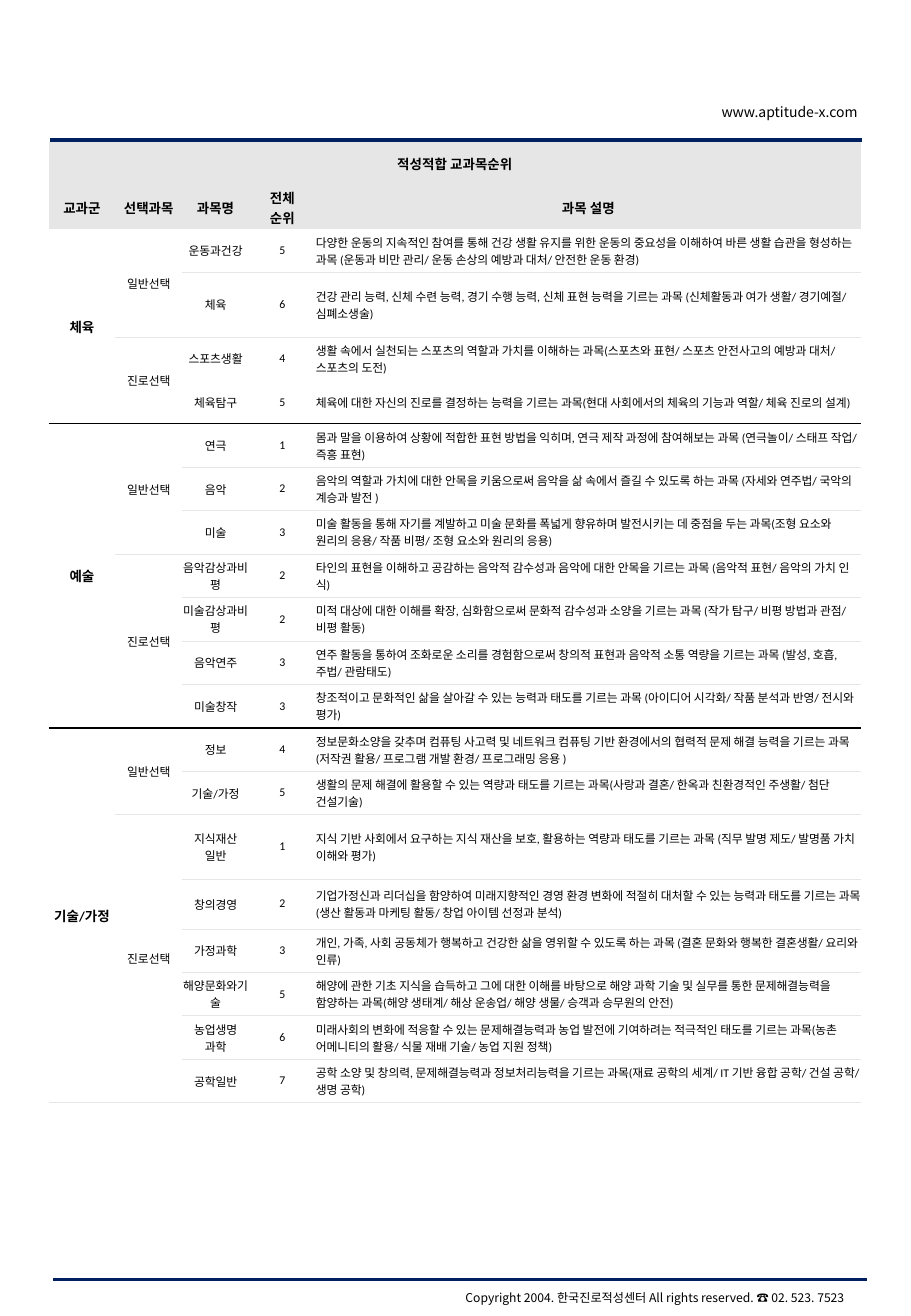
"""Build a one-page table ranking school subjects by aptitude."""
from dataclasses import dataclass
from typing import Optional

from lxml.etree import SubElement
from pptx import Presentation
from pptx.dml.color import RGBColor
from pptx.enum.shapes import MSO_CONNECTOR
from pptx.enum.text import MSO_ANCHOR, MSO_AUTO_SIZE, PP_ALIGN
from pptx.oxml.ns import qn
from pptx.util import Inches, Pt

COLORS = {"text": "000000", "grey": "E7E6E6", "navy": "002060"}
BORDERS = {"grey": 0.5, "text": 1}
TABLE_HEIGHT, TALL, MEDIUM = 7.91, 0.53, 0.41
COL_WIDTHS = [0.55] * 4 + [4.49]
TITLE = "적성적합 교과목순위"
HEADINGS = ["교과군", "선택과목", "과목명", "전체\v순위", "과목 설명"]


@dataclass
class Subject:
    name: str
    rank: int
    description: str
    height: Optional[float] = None
    ruled: bool = True


@dataclass
class Track:
    name: str
    subjects: list[Subject]


@dataclass
class Group:
    name: str
    tracks: list[Track]


@dataclass
class Label:
    text: str
    left: float
    top: float
    width: float
    height: float
    size: float
    align: PP_ALIGN


@dataclass
class Rule:
    left: float
    right: float
    y: float


GROUPS = [
    Group("체육", [
        Track("일반선택", [
            Subject("운동과건강", 5, "다양한 운동의 지속적인 참여를 통해 건강 생활 유지를 위한 운동의 중요성을 이해하여 바른 생활 습관을 형성하는 과목 (운동과 비만 관리/ 운동 손상의 예방과 대처/ 안전한 운동 환경)"),
            Subject("체육", 6, "건강 관리 능력, 신체 수련 능력, 경기 수행 능력, 신체 표현 능력을 기르는 과목 (신체활동과 여가 생활/ 경기예절/ 심폐소생술)", TALL),
        ]),
        Track("진로선택", [
            Subject("스포츠생활", 4, "생활 속에서 실천되는 스포츠의 역할과 가치를 이해하는 과목(스포츠와 표현/ 스포츠 안전사고의 예방과 대처/ 스포츠의 도전)", ruled=False),
            Subject("체육탐구", 5, "체육에 대한 자신의 진로를 결정하는 능력을 기르는 과목(현대 사회에서의 체육의 기능과 역할/ 체육 진로의 설계)"),
        ]),
    ]),
    Group("예술", [
        Track("일반선택", [
            Subject("연극", 1, "몸과 말을 이용하여 상황에 적합한 표현 방법을 익히며, 연극 제작 과정에 참여해보는 과목 (연극놀이/ 스태프 작업/ 즉흥 표현)"),
            Subject("음악", 2, "음악의 역할과 가치에 대한 안목을 키움으로써 음악을 삶 속에서 즐길 수 있도록 하는 과목 (자세와 연주법/ 국악의 계승과 발전 )"),
            Subject("미술", 3, "미술 활동을 통해 자기를 계발하고 미술 문화를 폭넓게 향유하며 발전시키는 데 중점을 두는 과목(조형 요소와 원리의 응용/ 작품 비평/ 조형 요소와 원리의 응용)"),
        ]),
        Track("진로선택", [
            Subject("음악감상과비평", 2, "타인의 표현을 이해하고 공감하는 음악적 감수성과 음악에 대한 안목을 기르는 과목 (음악적 표현/ 음악의 가치 인식)"),
            Subject("미술감상과비평", 2, "미적 대상에 대한 이해를 확장, 심화함으로써 문화적 감수성과 소양을 기르는 과목 (작가 탐구/ 비평 방법과 관점/ 비평 활동)"),
            Subject("음악연주", 3, "연주 활동을 통하여 조화로운 소리를 경험함으로써 창의적 표현과 음악적 소통 역량을 기르는 과목 (발성, 호흡, 주법/ 관람태도)"),
            Subject("미술창작", 3, "창조적이고 문화적인 삶을 살아갈 수 있는 능력과 태도를 기르는 과목 (아이디어 시각화/ 작품 분석과 반영/ 전시와 평가)"),
        ]),
    ]),
    Group("기술/가정", [
        Track("일반선택", [
            Subject("정보", 4, "정보문화소양을 갖추며 컴퓨팅 사고력 및 네트워크 컴퓨팅 기반 환경에서의 협력적 문제 해결 능력을 기르는 과목(저작권 활용/ 프로그램 개발 환경/ 프로그래밍 응용 )"),
            Subject("기술/가정", 5, "생활의 문제 해결에 활용할 수 있는 역량과 태도를 기르는 과목(사랑과 결혼/ 한옥과 친환경적인 주생활/ 첨단 건설기술)"),
        ]),
        Track("진로선택", [
            Subject("지식재산\n일반", 1, "지식 기반 사회에서 요구하는 지식 재산을 보호, 활용하는 역량과 태도를 기르는 과목 (직무 발명 제도/ 발명품 가치 이해와 평가)", TALL),
            Subject("창의경영", 2, "기업가정신과 리더십을 함양하여 미래지향적인 경영 환경 변화에 적절히 대처할 수 있는 능력과 태도를 기르는 과목(생산 활동과 마케팅 활동/ 창업 아이템 선정과 분석)", MEDIUM),
            Subject("가정과학", 3, "개인, 가족, 사회 공동체가 행복하고 건강한 삶을 영위할 수 있도록 하는 과목 (결혼 문화와 행복한 결혼생활/ 요리와 인류)"),
            Subject("해양문화와기술", 5, "해양에 관한 기초 지식을 습득하고 그에 대한 이해를 바탕으로 해양 과학 기술 및 실무를 통한 문제해결능력을 함양하는 과목(해양 생태계/ 해상 운송업/ 해양 생물/ 승객과 승무원의 안전)"),
            Subject("농업생명\n과학", 6, "미래사회의 변화에 적응할 수 있는 문제해결능력과 농업 발전에 기여하려는 적극적인 태도를 기르는 과목(농촌 어메니티의 활용/ 식물 재배 기술/ 농업 지원 정책)"),
            Subject("공학일반", 7, "공학 소양 및 창의력, 문제해결능력과 정보처리능력을 기르는 과목(재료 공학의 세계/ IT 기반 융합 공학/ 건설 공학/ 생명 공학)"),
        ]),
    ]),
]
LABELS = [
    Label("www.aptitude-x.com", 5.73, 0.8, 1.54, 0.25, 8.3, PP_ALIGN.CENTER),
    Label("Copyright 2004. 한국진로적성센터 All rights reserved. ☎ 02. 523. 7523",
          2.9, 10.57, 4.15, 0.23, 7.2, PP_ALIGN.RIGHT),
]
RULES = [Rule(0.41, 7.1, 1.15), Rule(0.44, 7.14, 10.53)]


def set_text(tf, text: str, size: float, font: str, align: PP_ALIGN, bold: bool = False) -> None:
    tf.text = text
    for p in tf.paragraphs:
        p.alignment = align
        p.font.size, p.font.name, p.font.bold = Pt(size), font, bold
        p.font.color.rgb = RGBColor.from_string(COLORS["text"])


def style_cell(cell, fill: Optional[str] = None, top: Optional[str] = None,
               bottom: Optional[str] = None) -> None:
    cell.margin_left = cell.margin_right = cell.margin_top = cell.margin_bottom = 0
    cell.vertical_anchor = MSO_ANCHOR.MIDDLE
    tc_pr = cell._tc.get_or_add_tcPr()
    for side, color in zip("LRTB", (None, None, top, bottom)):
        ln = SubElement(tc_pr, qn(f"a:ln{side}"))
        if color:
            ln.set("w", str(Pt(BORDERS[color])))
            SubElement(SubElement(ln, qn("a:solidFill")), qn("a:srgbClr"), val=COLORS[color])
        else:
            SubElement(ln, qn("a:noFill"))
    if fill:
        cell.fill.solid()
        cell.fill.fore_color.rgb = RGBColor.from_string(COLORS[fill])
    else:
        cell.fill.background()


def put_cell(table, row: int, col: int, text: str, top: Optional[str], bottom: Optional[str],
             span: int = 1, size: float = 7, bold: bool = False) -> None:
    for i in range(span):
        style_cell(table.cell(row + i, col), top=top if i == 0 else None,
                   bottom=bottom if i in (0, span - 1) else None)
    cell = table.cell(row, col)
    if span > 1:
        cell.merge(table.cell(row + span - 1, col))
    align = PP_ALIGN.LEFT if col == 4 else PP_ALIGN.CENTER
    set_text(cell.text_frame, text, size, "Calibri", align, bold)


def add_header(table) -> None:
    for col, heading in enumerate(HEADINGS):
        for row in (0, 1):
            style_cell(table.cell(row, col), "grey")
        set_text(table.cell(1, col).text_frame, heading, 8, "Calibri", PP_ALIGN.CENTER, True)
    table.cell(0, 0).merge(table.cell(0, 4))
    set_text(table.cell(0, 0).text_frame, TITLE, 8, "Lato", PP_ALIGN.CENTER, True)


def add_subject_table(slide) -> None:
    subjects = [s for g in GROUPS for t in g.tracks for s in t.subjects]
    heights = [None, None] + [s.height for s in subjects]
    regular = (TABLE_HEIGHT - sum(h for h in heights if h)) / heights.count(None)
    table = slide.shapes.add_table(len(heights), 5, Inches(0.4), Inches(1.17),
                                   Inches(sum(COL_WIDTHS)), Inches(TABLE_HEIGHT)).table
    table.first_row = table.horz_banding = False
    for column, width in zip(table.columns, COL_WIDTHS):
        column.width = Inches(width)
    for table_row, height in zip(table.rows, heights):
        table_row.height = Inches(height or regular)
    add_header(table)
    row, top = 2, None
    for group in GROUPS:
        end = "grey" if group is GROUPS[-1] else "text"
        count = sum(len(t.subjects) for t in group.tracks)
        put_cell(table, row, 0, group.name, top, end, count, 8, True)
        for track in group.tracks:
            track_end = end if track is group.tracks[-1] else "grey"
            put_cell(table, row, 1, track.name, top, track_end, len(track.subjects))
            for s in track.subjects:
                bottom = track_end if s is track.subjects[-1] else "grey" if s.ruled else None
                for col, text in enumerate((s.name, str(s.rank), s.description), 2):
                    put_cell(table, row, col, text, top, bottom)
                row, top = row + 1, bottom


def add_label(slide, label: Label) -> None:
    box = slide.shapes.add_textbox(Inches(label.left), Inches(label.top),
                                   Inches(label.width), Inches(label.height))
    tf = box.text_frame
    tf.word_wrap, tf.auto_size = True, MSO_AUTO_SIZE.SHAPE_TO_FIT_TEXT
    set_text(tf, label.text, label.size, "Noto Sans CJK KR", label.align)


def add_rule(slide, rule: Rule) -> None:
    line = slide.shapes.add_connector(MSO_CONNECTOR.STRAIGHT, Inches(rule.left), Inches(rule.y),
                                      Inches(rule.right), Inches(rule.y))
    line.line.color.rgb = RGBColor.from_string(COLORS["navy"])
    line.line.width = Pt(2.25)
    SubElement(line._element.spPr, qn("a:effectLst"))


def main() -> None:
    prs = Presentation()
    prs.slide_width, prs.slide_height = Inches(7.5), Inches(10.83)
    slide = prs.slides.add_slide(prs.slide_layouts[6])
    add_subject_table(slide)
    for label in LABELS:
        add_label(slide, label)
    for rule in RULES:
        add_rule(slide, rule)
    prs.save("out.pptx")


if __name__ == "__main__":
    main()
